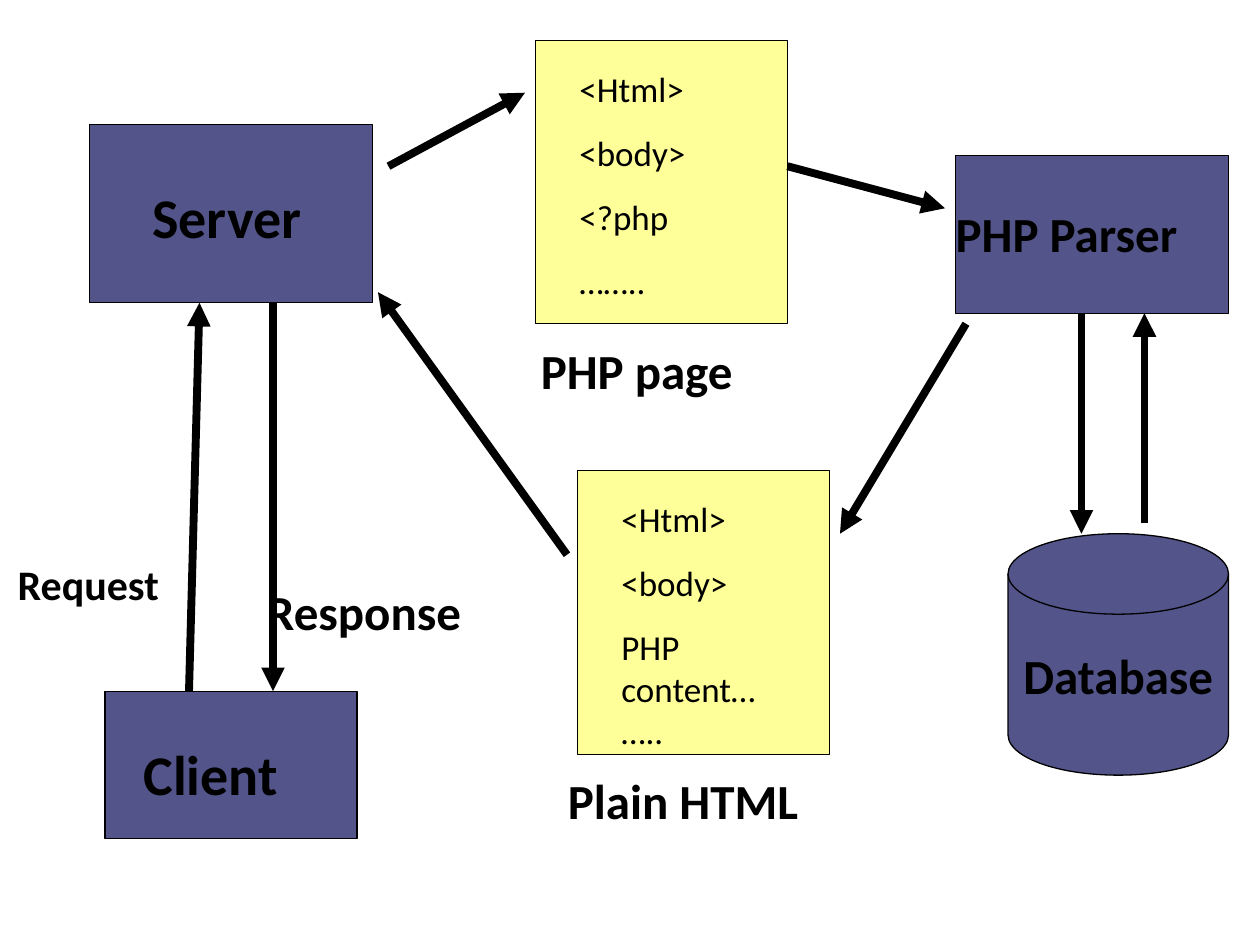
from lxml import etree
from pptx import Presentation
from pptx.dml.color import RGBColor
from pptx.enum import shapes, text
from pptx.oxml.ns import qn
from pptx.util import Pt

INDIGO, YELLOW, BLACK = "53548A", "FFFF99", "000000"
SHAPE = shapes.MSO_SHAPE


def color(hex_string):
    return RGBColor.from_string(hex_string)


def add_block(slide, box, fill, kind=SHAPE.RECTANGLE):
    """Add an outlined shape at box (left, top, width, height)."""
    shape = slide.shapes.add_shape(kind, *map(Pt, box))
    shape.shadow.inherit = False
    shape.fill.solid()
    shape.fill.fore_color.rgb = color(fill)
    shape.line.color.rgb = color(BLACK)
    shape.line.width = Pt(0.75)
    return shape


def write(shape, lines, size, bold=True, **paragraph_format):
    for index, line in enumerate(lines):
        frame = shape.text_frame
        paragraph = frame.add_paragraph() if index else frame.paragraphs[0]
        for name, value in paragraph_format.items():
            setattr(paragraph, name, value)
        run = paragraph.add_run()
        run.text = line
        font_format = {"name": "Calibri", "size": Pt(size), "bold": bold}
        for name, value in font_format.items():
            setattr(run.font, name, value)
        run.font.color.rgb = color(BLACK)


def add_text(slide, box, lines, size, **formats):
    shape = slide.shapes.add_textbox(*map(Pt, box))
    shape.text_frame.word_wrap = True
    write(shape, lines, size, **formats)


def add_machine(slide, box, label, size, offset, label_size):
    """Add an indigo block with its name at an offset inside it."""
    add_block(slide, box, INDIGO)
    left, top = box[0] + offset[0], box[1] + offset[1]
    add_text(slide, (left, top, *label_size), [label], size)


def add_page(slide, box, lines, caption, caption_offset):
    """Add a yellow page of code with a caption below it."""
    left, top, width, height = box
    add_block(slide, box, YELLOW)
    add_text(slide, (left + 18, top + 12, 96, height - 20), lines, 20,
             bold=False, space_before=Pt(12.5))
    caption_box = (left + caption_offset, top + height + 6, 172, 41)
    add_text(slide, caption_box, [caption], 28)


def add_database(slide, box):
    disk = add_block(slide, box, INDIGO, SHAPE.FLOWCHART_MAGNETIC_DISK)
    disk.text_frame.word_wrap = False
    disk.text_frame.vertical_anchor = text.MSO_ANCHOR.MIDDLE
    write(disk, ["Database"], 28, alignment=text.PP_ALIGN.CENTER)


def add_arrow(slide, start, end):
    arrow = slide.shapes.add_connector(
        shapes.MSO_CONNECTOR.STRAIGHT, *map(Pt, start + end))
    arrow.line.color.rgb = color(BLACK)
    arrow.line.width = Pt(4.5)
    line = arrow.line._get_or_add_ln()
    etree.SubElement(line, qn("a:tailEnd"), type="triangle")
    etree.SubElement(arrow._element.spPr, qn("a:effectLst"))


def main():
    presentation = Presentation()
    presentation.slide_width, presentation.slide_height = Pt(720), Pt(540)
    slide = presentation.slides.add_slide(presentation.slide_layouts[6])

    add_machine(slide, (60, 395, 144, 84), "Client", 32, (15, 24), (108, 46))
    add_machine(slide, (51, 71, 162, 102), "Server", 32, (29, 30), (117, 46))
    add_machine(slide, (546, 89, 156, 90), "PHP Parser", 28, (-7, 24), (168, 41))
    add_page(slide, (306, 23, 144, 162),
             ["<Html>", "<body>", "<?php", "…….."], "PHP page", -4)
    add_page(slide, (330, 269, 144, 162),
             ["<Html>", "<body>", "PHP content…….."], "Plain HTML", -12.5)
    add_database(slide, (576, 305, 126, 138))

    arrows = [
        ((156, 173), (156, 395)),  # server to client
        ((108, 395), (114, 173)),  # client to server
        ((222, 95), (300, 53)),  # server to PHP page
        ((450, 95), (540, 119)),  # PHP page to parser
        ((618, 179), (618, 305)),  # parser to database
        ((654, 299), (654, 179)),  # database to parser
        ((552, 185), (480, 305)),  # parser to plain HTML
        ((324, 317), (216, 167)),  # plain HTML to server
    ]
    for start, end in arrows:
        add_arrow(slide, start, end)

    add_text(slide, (3, 315.5, 118, 36), ["Request"], 24)
    add_text(slide, (145.5, 329, 147, 41), ["Response"], 28)
    presentation.save("out.pptx")


if __name__ == "__main__":
    main()
